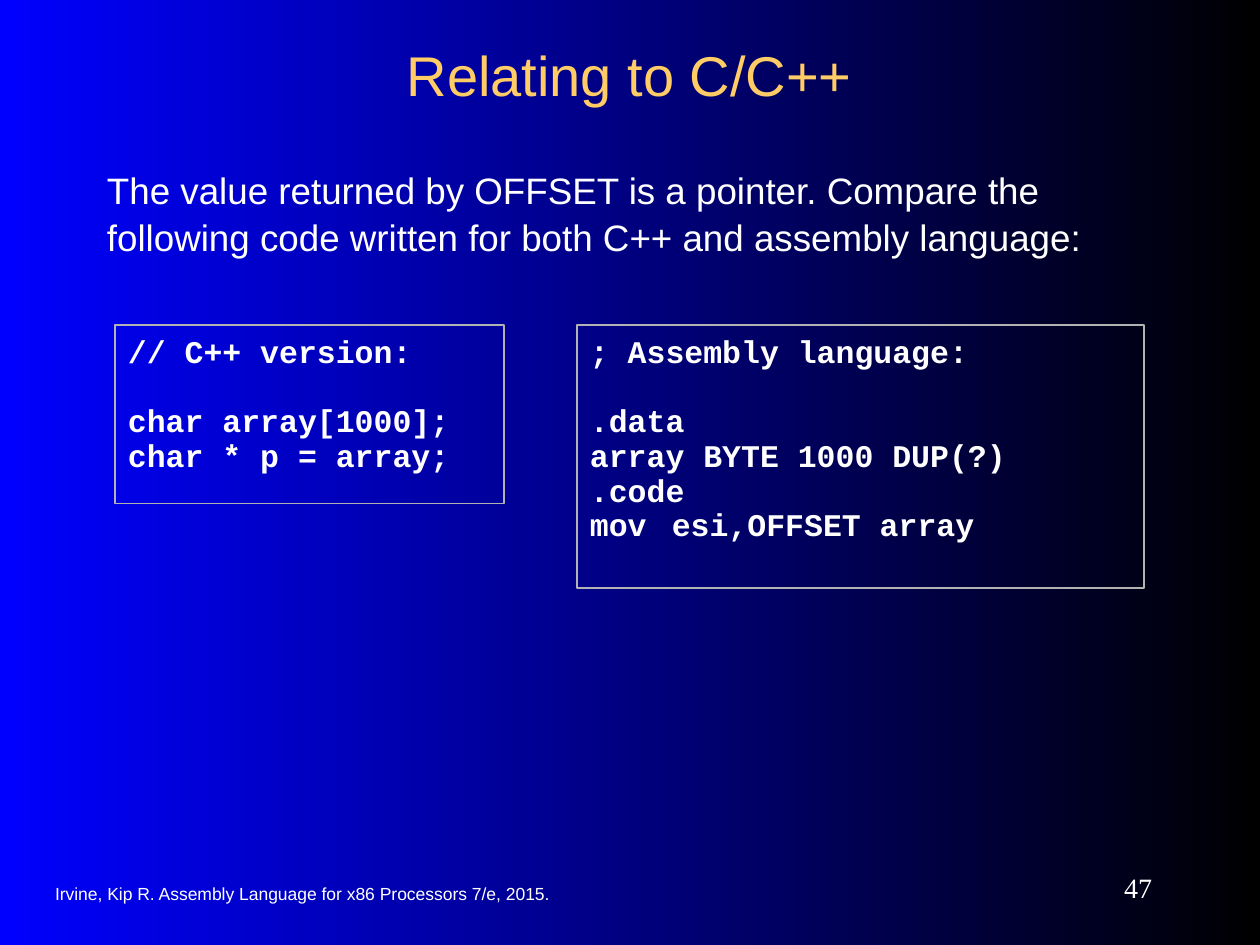
from lxml.etree import SubElement
from pptx import Presentation
from pptx.dml.color import RGBColor
from pptx.enum.shapes import MSO_SHAPE as Shape
from pptx.enum.text import MSO_ANCHOR as Anchor, PP_ALIGN as Align
from pptx.oxml.ns import qn
from pptx.util import Pt

PX = 914400 // 126
COLORS = {"start": "0000FF", "end": "000000", "title": "FFCC66",
          "text": "FFFFFF", "border": "B2B2B2"}


def color(name):
    return RGBColor.from_string(COLORS[name])


def set_text(box, lines, font, size, ink="text", align=Align.LEFT,
             anchor=Anchor.MIDDLE, inset=6):
    frame = box.text_frame
    frame.word_wrap = True
    frame.vertical_anchor = anchor
    frame.margin_left = frame.margin_right = 13 * PX
    frame.margin_top = frame.margin_bottom = inset * PX
    for index, line in enumerate(lines):
        para = frame.paragraphs[0] if index == 0 else frame.add_paragraph()
        para.text = line
        para.alignment = align
        para.font.name = font
        para.font.size = Pt(size)
        para.font.color.rgb = color(ink)
    return frame.paragraphs


deck = Presentation()
deck.slide_width, deck.slide_height = 1260 * PX, 945 * PX
page = deck.slides.add_slide(deck.slide_layouts[6])

# Background fading from left to right
backdrop = page.background.fill
backdrop.gradient()
backdrop.gradient_angle = 0
for stop, position, name in zip(backdrop.gradient_stops, (0, 1), ("start", "end")):
    stop.position = position
    stop.color.rgb = color(name)

# Footer and page number
footer = page.shapes.add_textbox(42 * PX, 873 * PX, 661 * PX, 42 * PX)
set_text(footer, ["Irvine, Kip R. Assembly Language for x86 Processors 7/e, 2015."],
         "Arial", 10)
number = page.shapes.add_textbox(1029 * PX, 861 * PX, 136 * PX, 53 * PX)
set_text(number, ["47"], "Times New Roman", 16, align=Align.RIGHT)

# Title
title = page.shapes.add_textbox(94 * PX, 32 * PX, 1071 * PX, 84 * PX)
set_text(title, ["Relating to C/C++"], "Arial", 32, "title", Align.CENTER)

# Introduction
intro = page.shapes.add_textbox(94 * PX, 147 * PX, 1061 * PX, 126 * PX)
paras = set_text(intro, ["The value returned by OFFSET is a pointer. Compare the "
                         "following code written for both C++ and assembly language:"],
                 "Arial", 21, anchor=Anchor.TOP, inset=19)
paras[0].line_spacing = 1.05

# Code listings: left, width, height, lines
LISTINGS = [
    (115, 389, 179, ["// C++ version:", "char array[1000];", "char * p = array;"]),
    (577, 567, 263, ["; Assembly language:", ".data", "array BYTE 1000 DUP(?)",
                     ".code", "mov\t esi,OFFSET array"]),
]
LINE_PITCH = Pt(19.8)
for left, width, height, lines in LISTINGS:
    box = page.shapes.add_shape(Shape.RECTANGLE, left * PX, 325 * PX,
                                width * PX, height * PX)
    box.shadow.inherit = False
    box.fill.background()
    box.line.color.rgb = color("border")
    box.line.width = Pt(0.75)
    paras = set_text(box, lines, "Courier New", 18, anchor=Anchor.TOP, inset=10)
    for index, para in enumerate(paras):
        para.font.bold = True
        para.line_spacing = LINE_PITCH
        # One line of space sets the heading comment apart
        para.space_before = LINE_PITCH if index == 1 else Pt(0)
        if "\t" in lines[index]:
            props = para._p.get_or_add_pPr()
            tabs = SubElement(props, qn("a:tabLst"))
            SubElement(tabs, qn("a:tab"), pos=str(63 * PX), algn="l")
            props.append(props.find(qn("a:defRPr")))  # must follow the tab list

deck.save("out.pptx")
